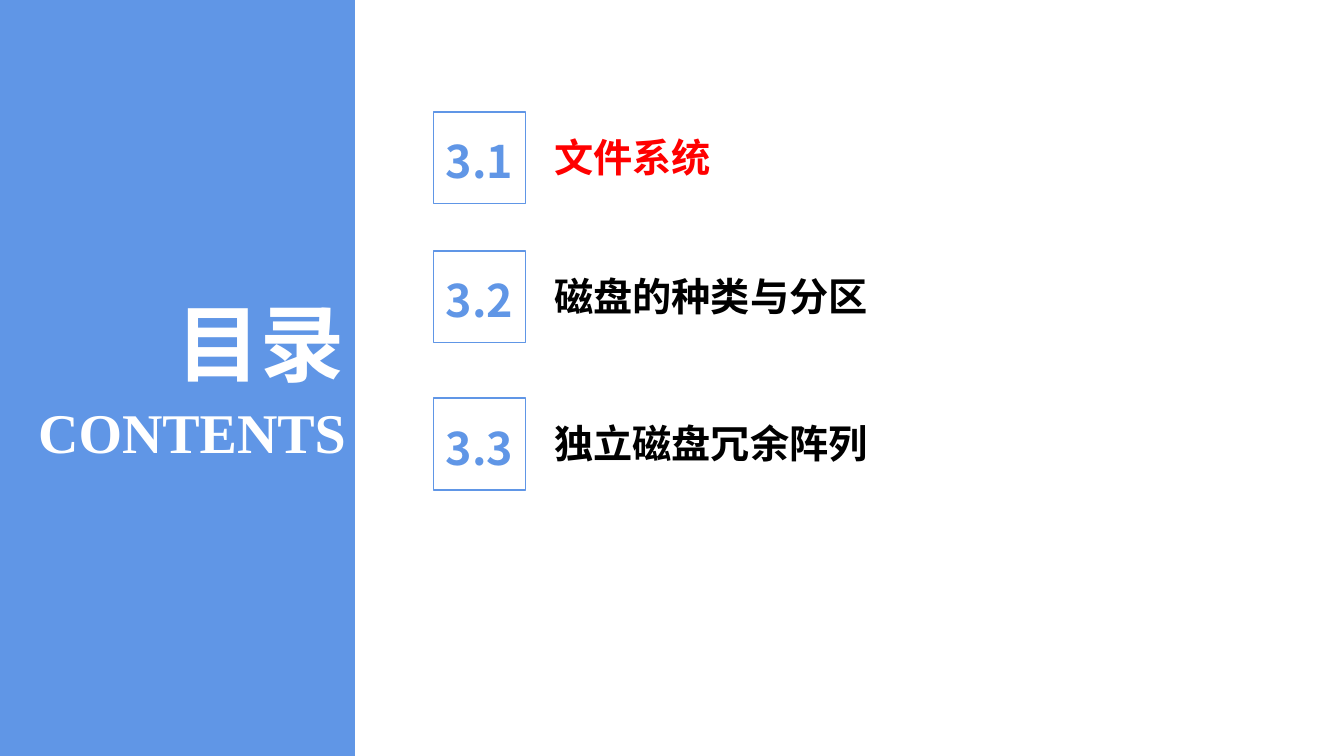
from pptx import Presentation
from pptx import util as u
from pptx.dml.color import RGBColor
from pptx.enum import shapes, text
from pptx.oxml.ns import qn
from lxml import etree

HUES = {"blue": "6096E6", "white": "FFFFFF", "red": "FF0000", "black": "000000"}
SANS, SERIF = "Noto Sans CJK SC", "Times New Roman"
LEFT, MID, RIGHT = text.PP_ALIGN.LEFT, text.PP_ALIGN.CENTER, text.PP_ALIGN.RIGHT


class Deck:
    """Holds the style and the current slide."""

    def __init__(self):
        self.prs = Presentation()
        self.prs.slide_width = u.Inches(13.33)
        self.prs.slide_height = u.Inches(7.5)
        self.slide = self.prs.slides.add_slide(self.prs.slide_layouts[5])

    def hue(self, name):
        return RGBColor.from_string(HUES[name])

    def rect(self, home, box, fill=None, line=None):
        shape = home.add_shape(shapes.MSO_SHAPE.RECTANGLE, *map(u.Inches, box))
        shape.shadow.inherit = False
        if fill:
            shape.fill.solid()
            shape.fill.fore_color.rgb = self.hue(fill)
        else:
            shape.fill.background()
        if line:
            shape.line.color.rgb = self.hue(line)
            shape.line.width = u.Pt(1)
        else:
            shape.line.fill.background()

    def put(self, shape, words, size, color, align, font=SANS):
        frame = shape.text_frame
        frame.word_wrap = True
        frame.auto_size = text.MSO_AUTO_SIZE.SHAPE_TO_FIT_TEXT
        frame.vertical_anchor = text.MSO_ANCHOR.TOP
        para = frame.paragraphs[0]
        para.alignment = align
        run = para.add_run()
        run.text = words
        run.font.size = u.Pt(size)
        run.font.bold = True
        run.font.color.rgb = self.hue(color)
        run.font.name = font
        # East Asian glyphs take their own font element
        east = etree.SubElement(run.font._element, qn("a:ea"))
        east.set("typeface", font)

    def label(self, home, box, *style):
        self.put(home.add_textbox(*map(u.Inches, box)), *style)

    def title(self, box, *style):
        head = self.slide.shapes.title
        head.left, head.top, head.width, head.height = map(u.Inches, box)
        self.put(head, *style)
        # Bring the title in front of the side panel
        self.slide.shapes._spTree.append(head._element)

    def entry(self, top, num, words, color):
        home = self.slide.shapes.add_group_shape().shapes
        self.label(home, (5.4, top + 0.16, 5.93, 0.57), words, 28, color, LEFT)
        self.label(home, (4.3, top + 0.17, 0.91, 0.64), num, 32, "blue", MID)
        self.rect(home, (4.3, top, 0.91, 0.91), line="blue")


def main():
    deck = Deck()
    page = deck.slide.shapes

    # Side panel
    deck.rect(page, (0, 0, 3.52, 7.5), fill="blue")
    deck.title((0.98, 2.84, 2.54, 1.11), "目录", 60, "white", RIGHT)
    deck.label(page, (0, 3.89, 3.53, 0.77), "CONTENTS", 40, "white", RIGHT, SERIF)

    # Chapter entries
    items = [
        (1.11, "文件系统", "red"),
        (2.49, "磁盘的种类与分区", "black"),
        (3.95, "独立磁盘冗余阵列", "black"),
    ]
    for i, (top, words, color) in enumerate(items, 1):
        deck.entry(top, f"3.{i}", words, color)

    deck.prs.save("out.pptx")


if __name__ == "__main__":
    main()
